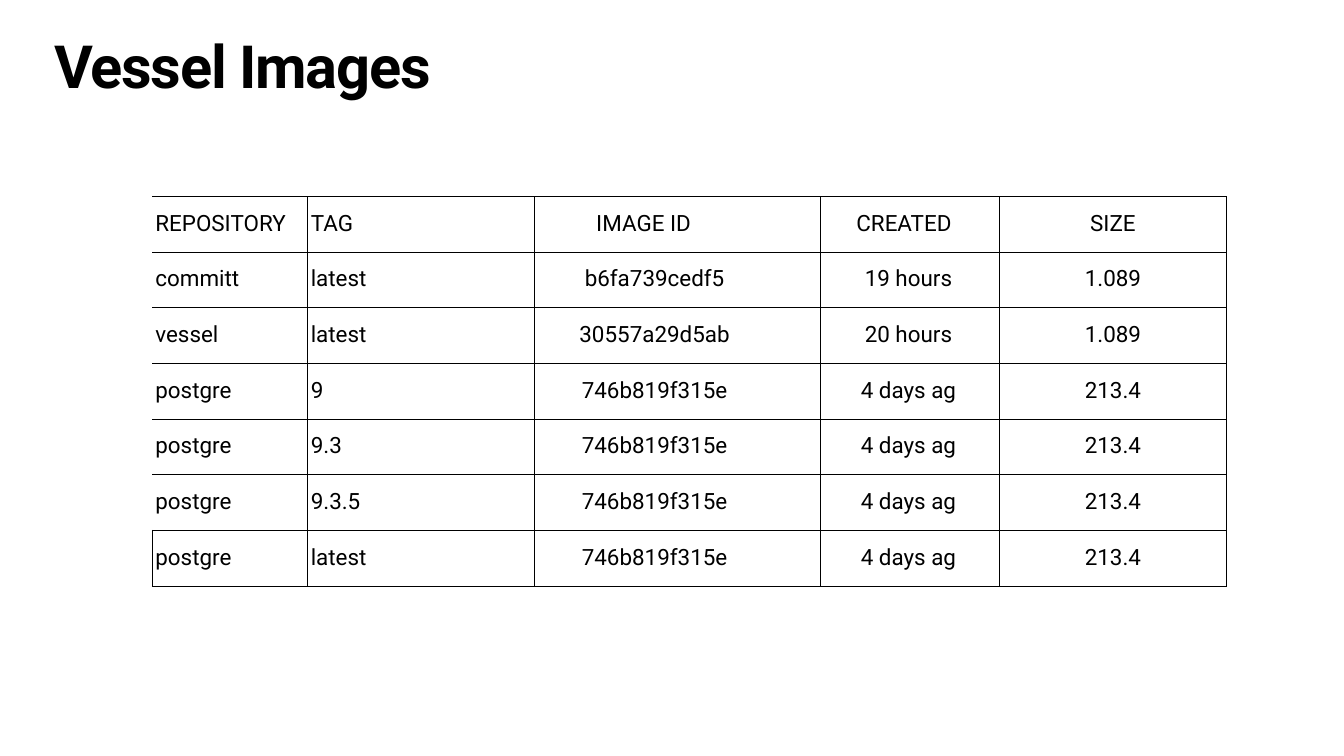
from lxml import etree
from pptx import Presentation
from pptx.enum.text import MSO_ANCHOR, MSO_AUTO_SIZE, PP_ALIGN
from pptx.dml.color import RGBColor
from pptx.oxml.ns import qn
from pptx.util import Pt

PX = 9525
LEFT, CENTER = PP_ALIGN.LEFT, PP_ALIGN.CENTER
TOP, MIDDLE = MSO_ANCHOR.TOP, MSO_ANCHOR.MIDDLE
NO_AUTOFIT = MSO_AUTO_SIZE.NONE
COLORS = {"text": "000000", "border": "000000"}
MARGINS = {f"margin_{side}": 6 * PX for side in ("left", "top", "right", "bottom")}

HEADER = ["REPOSITORY", "TAG", "IMAGE ID", "CREATED", "SIZE"]
IMAGES = [
    ["committ", "latest", "b6fa739cedf5", "19 hours", "1.089"],
    ["vessel", "latest", "30557a29d5ab", "20 hours", "1.089"],
]
POSTGRE_TAGS = ["9", "9.3", "9.3.5", "latest"]
IMAGES += [["postgre", tag, "746b819f315e", "4 days ag", "213.4"] for tag in POSTGRE_TAGS]
ROWS = [HEADER] + IMAGES

COLUMN_WIDTHS = [296, 431, 546, 341, 432]
ROW_HEIGHT = 106
ALIGNMENTS = [LEFT, LEFT, CENTER, CENTER, CENTER]
HEADER_RIGHT_MARGINS = [6, 6, 134, 29, 6]
BODY_RIGHT_MARGINS = [6, 6, 92, 12, 6]


def format_text(paragraph, size, bold, line_spacing, alignment):
    paragraph.line_spacing = line_spacing
    paragraph.space_before = Pt(0)
    paragraph.alignment = alignment
    font = paragraph.runs[0].font
    for name, value in {"name": "Roboto", "size": Pt(size), "bold": bold}.items():
        setattr(font, name, value)
    font.color.rgb = RGBColor.from_string(COLORS["text"])


def add_border(cell, tag, visible):
    properties = cell._tc.get_or_add_tcPr()
    line = etree.SubElement(properties, qn(tag), w=str(Pt(1)))
    if visible:
        fill = etree.SubElement(line, qn("a:solidFill"))
        etree.SubElement(fill, qn("a:srgbClr"), val=COLORS["border"])
    else:
        etree.SubElement(line, qn("a:noFill"))


presentation = Presentation()
presentation.slide_width = 2560 * PX
presentation.slide_height = 1440 * PX
slide = presentation.slides.add_slide(presentation.slide_layouts[5])

title = slide.shapes.title
title_box = {"left": 97, "top": 75, "width": 2307, "height": 151}
for name, value in title_box.items():
    setattr(title, name, value * PX)
title.text = "Vessel Images"
title_format = {"vertical_anchor": TOP, "word_wrap": True, "auto_size": NO_AUTOFIT}
for name, value in (title_format | MARGINS).items():
    setattr(title.text_frame, name, value)
title_paragraph = title.text_frame.paragraphs[0]
format_text(title_paragraph, 85, True, 0.8, LEFT)
title_paragraph.runs[0].font._element.set("spc", "-170")

table_frame = slide.shapes.add_table(
    len(ROWS), len(HEADER), 290 * PX, 374 * PX,
    sum(COLUMN_WIDTHS) * PX, len(ROWS) * ROW_HEIGHT * PX)
table = table_frame.table
table.first_row = False
table.horz_banding = False
for column, width in zip(table.columns, COLUMN_WIDTHS):
    column.width = width * PX

for row_index, row in enumerate(ROWS):
    table.rows[row_index].height = ROW_HEIGHT * PX
    right_margins = HEADER_RIGHT_MARGINS if row_index == 0 else BODY_RIGHT_MARGINS
    for column_index, text in enumerate(row):
        cell = table.cell(row_index, column_index)
        cell.text = text
        cell_format = MARGINS | {
            "vertical_anchor": MIDDLE,
            "margin_right": right_margins[column_index] * PX,
        }
        for name, value in cell_format.items():
            setattr(cell, name, value)
        format_text(cell.text_frame.paragraphs[0], 32, False, 0.9, ALIGNMENTS[column_index])
        add_border(cell, "a:lnL", column_index > 0 or row_index == len(ROWS) - 1)
        for tag in ("a:lnR", "a:lnT", "a:lnB"):
            add_border(cell, tag, True)
        cell.fill.background()

presentation.save("out.pptx")
